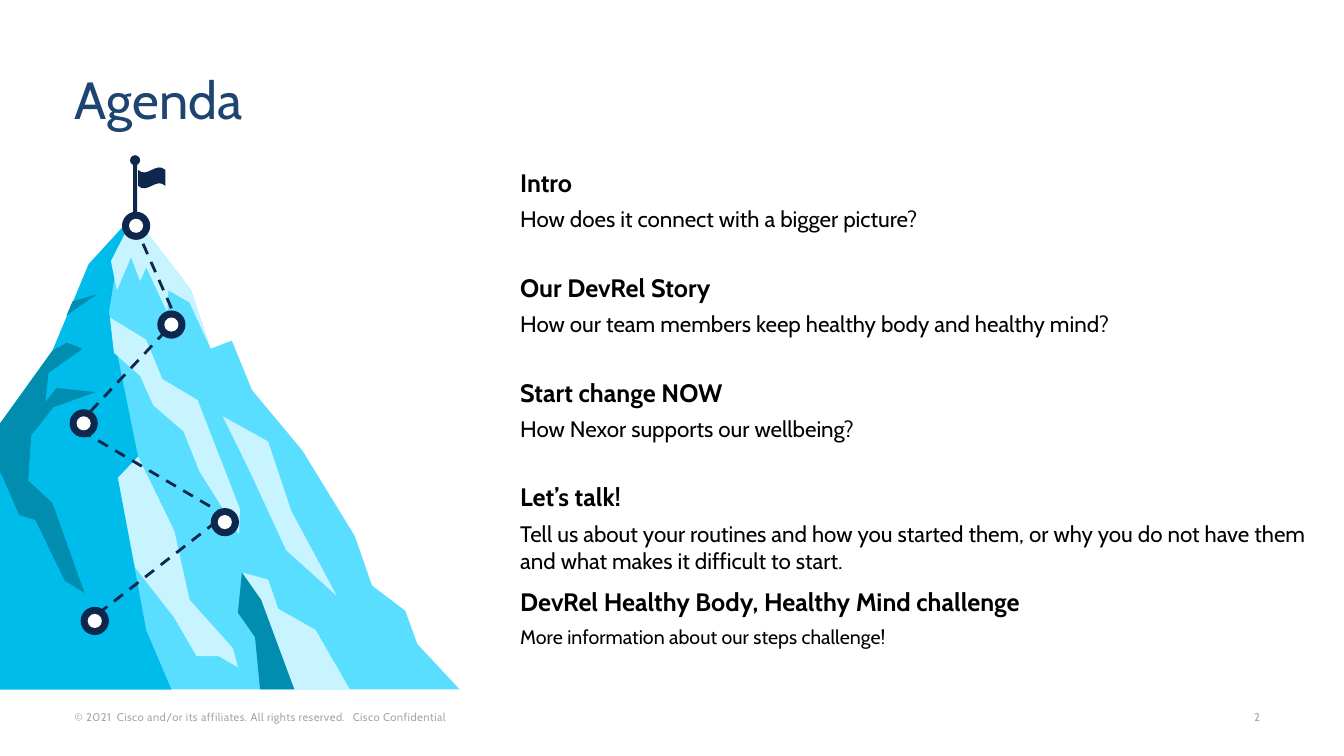
import pptx
import pptx.dml.color
import pptx.enum.dml
import pptx.enum.shapes
import pptx.enum.text
import pptx.oxml
import pptx.oxml.ns
import pptx.util

Inches = pptx.util.Inches
RGBColor = pptx.dml.color.RGBColor
ANCHOR = pptx.enum.text.MSO_ANCHOR
SHAPE = pptx.enum.shapes.MSO_SHAPE

TITLE_BLUE = RGBColor.from_string("1E4471")
NAVY = RGBColor.from_string("0D274D")
SKY = RGBColor.from_string("5ADEFF")
BLUE = RGBColor.from_string("00BCEB")
TEAL = RGBColor.from_string("008DB0")
SNOW = RGBColor.from_string("C8F4FF")
WHITE = RGBColor.from_string("FEFEFE")
BLACK = RGBColor.from_string("000000")
GREY = RGBColor.from_string("A6A6A6")
UNITS_PER_INCH = 100

MOUNTAIN = [
    (SKY, [(-0.97, 6.84), (1.33, 2.14), (1.89, 2.87), (2.09, 3.46), (2.3, 3.38), (2.5, 3.87),
           (3, 4.47), (3.52, 5.32), (3.69, 5.81), (4.02, 6.06), (4.14, 6.39), (4.56, 6.84)]),
    (SNOW, [(2.92, 6.84), (2.4, 5.68), (2.66, 5.75), (2.76, 6.04), (3.13, 6.25), (3.47, 6.84)]),
    (BLUE, [(-0.97, 6.84), (-0.12, 4.37), (0.52, 3.48), (0.88, 2.62), (1.31, 2.15),
            (1.16, 2.6), (1.08, 3.1), (1.37, 4.53), (1.17, 4.74), (1.45, 6.25), (1.7, 6.84)]),
    (TEAL, [(-0.57, 5.67), (-0.12, 4.37), (0.52, 3.48), (0.66, 3.4), (0.82, 3.46), (0.48, 3.7),
            (0.45, 3.99), (0.56, 3.85), (0.95, 3.89), (0.53, 4.04), (0.31, 4.32),
            (0.28, 4.77), (0.52, 4.99), (0.88, 6)]),
    (TEAL, [(0.66, 3.13), (0.72, 2.99), (0.96, 2.92)]),
    (SNOW, [(2.09, 3.46), (1.88, 3), (1.67, 2.88), (1.66, 3.1), (1.45, 2.65), (1.39, 2.79),
            (1.3, 2.55), (1.16, 2.88), (1.1, 2.59), (1.33, 2.14), (1.89, 2.87)]),
    (SNOW, [(1.09, 3.15), (1.45, 3.37), (1.61, 3.76), (1.96, 3.97), (2.38, 5.05), (2.37, 5.3),
            (1.98, 4.68), (1.82, 4.28), (1.52, 4.02), (1.39, 3.73), (1.13, 3.5)]),
    (SNOW, [(1.37, 4.53), (1.73, 5.27), (1.88, 5.95), (2.31, 6.43), (2.36, 6.62), (2.17, 6.51),
            (1.95, 6.51), (1.73, 6.13), (1.34, 5.63), (1.17, 4.74)]),
    (SNOW, [(2.21, 4.13), (2.66, 4.38), (2.89, 5.07), (3.34, 5.91), (2.84, 5.46), (2.48, 4.68)]),
    (TEAL, [(2.4, 5.68), (2.36, 6.08), (2.53, 6.32), (2.58, 6.84), (2.92, 6.84), (2.59, 5.95)]),
    (BLUE, [(-2.55, 6.84), (-0.47, 4.4), (0.01, 4.7), (0.19, 5.11), (0.35, 5.16), (0.64, 5.76),
            (1.02, 6), (1.7, 6.84)]),
]
TRAIL = [(1.34, 2.24), (1.75, 3.17), (0.75, 4.24), (2.23, 5.11), (0.83, 6.2)]
MILESTONE_CENTERS = [1.35, 1.7, 0.83, 2.23, 0.94]
AGENDA = [
    ("Intro", "How does it connect with a bigger picture?"),
    ("Our DevRel Story", "How our team members keep healthy body and healthy mind?"),
    ("Start change NOW", "How Nexor supports our wellbeing?"),
    ("Let’s talk!", "Tell us about your routines and how you started them, or why you do not "
     "have them and what makes it difficult to start."),
    ("DevRel Healthy Body, Healthy Mind challenge",
     "More information about our steps challenge!"),
]


class AgendaSlide:
    font_name = "Cabin"

    def __init__(self, deck):
        self.slide = deck.slides.add_slide(deck.slide_layouts[5])
        self.shapes = self.slide.shapes

    def style(self, paragraph, size, color, bold=False, spacing=None):
        for run in paragraph.runs:
            run.font.name = self.font_name
            run.font.size = pptx.util.Pt(size)
            run.font.bold = bold
            run.font.color.rgb = color
            if spacing:
                run._r.get_or_add_rPr().set("spc", str(spacing))

    def title(self, words):
        heading = self.shapes.title
        heading.left, heading.top = Inches(0.64), Inches(0.5)
        heading.width, heading.height = Inches(12.17), Inches(1.07)
        frame = heading.text_frame
        frame.text = words
        frame.auto_size = pptx.enum.text.MSO_AUTO_SIZE.NONE
        frame.vertical_anchor = ANCHOR.MIDDLE
        paragraph = frame.paragraphs[0]
        paragraph.alignment = pptx.enum.text.PP_ALIGN.LEFT
        paragraph.line_spacing = 0.8
        self.style(paragraph, 37.3, TITLE_BLUE)

    def text(self, words, box, size, color, anchor=ANCHOR.TOP, bold=False, wrap=True,
             spacing=None, tabs=()):
        frame = self.shapes.add_textbox(*map(Inches, box)).text_frame
        frame.margin_left = frame.margin_right = frame.margin_top = frame.margin_bottom = 0
        frame.word_wrap = wrap
        frame.vertical_anchor = anchor
        paragraph = frame.paragraphs[0]
        paragraph.text = words
        if tabs:
            stops = pptx.oxml.parse_xml("<a:tabLst %s/>" % pptx.oxml.ns.nsdecls("a"))
            for tab in tabs:
                stops.append(stops.makeelement(pptx.oxml.ns.qn("a:tab"),
                                               {"pos": str(Inches(tab)), "algn": "l"}))
            paragraph._p.get_or_add_pPr().append(stops)
        self.style(paragraph, size, color, bold, spacing)

    def paint(self, shape, color):
        shape.shadow.inherit = False
        shape.fill.solid()
        shape.fill.fore_color.rgb = color
        shape.line.fill.background()

    def outline(self, points, closed=True):
        scaled = [(x * UNITS_PER_INCH, y * UNITS_PER_INCH) for x, y in points]
        builder = self.shapes.build_freeform(*scaled[0], scale=Inches(1) / UNITS_PER_INCH)
        builder.add_line_segments(scaled[1:], close=closed)
        return builder.convert_to_shape()

    def area(self, color, points):
        self.paint(self.outline(points), color)

    def trail(self, points):
        route = self.outline(points, closed=False)
        route.shadow.inherit = False
        route.fill.background()
        route.line.color.rgb = NAVY
        route.line.width = pptx.util.Pt(2)
        route.line.dash_style = pptx.enum.dml.MSO_LINE.DASH

    def preset(self, kind, color, box):
        shape = self.shapes.add_shape(kind, *map(Inches, box))
        self.paint(shape, color)
        return shape

    def dot(self, x, y, diameter, color):
        self.preset(SHAPE.OVAL, color, (x - diameter / 2, y - diameter / 2, diameter, diameter))

    def flag(self, box):
        cloth = self.preset(SHAPE.WAVE, NAVY, box)
        cloth._element.spPr.find(pptx.oxml.ns.qn("a:xfrm")).set("flipV", "1")


def main():
    deck = pptx.Presentation()
    deck.slide_width, deck.slide_height = Inches(13.33), Inches(7.5)
    agenda = AgendaSlide(deck)
    agenda.title("Agenda")
    agenda.text("© 2021\tCisco and/or its affiliates. All rights reserved.\tCisco Confidential",
                (0.74, 7.05, 4.96, 0.13), 8, GREY, ANCHOR.BOTTOM, spacing=30, tabs=(0.42, 2.76))
    agenda.text("2", (12.44, 7.05, 0.14, 0.13), 8, GREY, ANCHOR.BOTTOM, wrap=False, spacing=30)

    for color, points in MOUNTAIN:
        agenda.area(color, points)
    agenda.trail(TRAIL)
    for row, x in enumerate(MILESTONE_CENTERS):
        for diameter, color in ((0.28, NAVY), (0.14, WHITE)):
            agenda.dot(x, 2.24 + 0.98 * row, diameter, color)
    agenda.preset(SHAPE.RECTANGLE, NAVY, (1.32, 1.6, 0.04, 0.52))
    agenda.dot(1.34, 1.59, 0.1, NAVY)
    agenda.flag((1.37, 1.66, 0.27, 0.21))

    for row, (topic, detail) in enumerate(AGENDA):
        top = 1.66 + row * 1.04
        detail_size = 14 if row == len(AGENDA) - 1 else 16
        agenda.text(topic, (5.16, top, 7.84, 0.3), 18, BLACK, ANCHOR.MIDDLE, bold=True)
        agenda.text(detail, (5.16, top + 0.38, 7.84, 0.27), detail_size, BLACK)
    deck.save("out.pptx")


if __name__ == "__main__":
    main()
